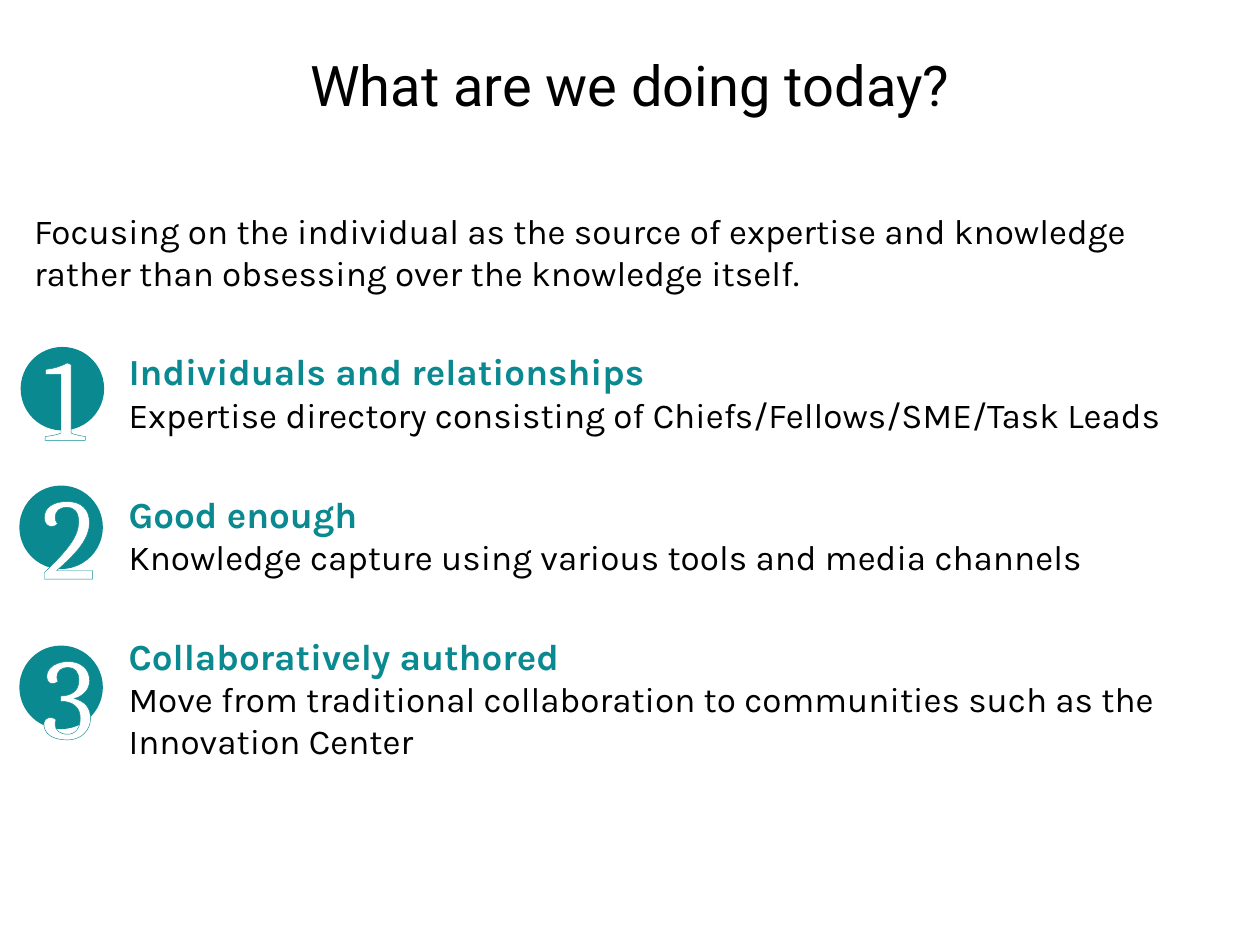
from lxml.etree import SubElement
from pptx import Presentation
from pptx.dml.color import RGBColor
from pptx.enum.shapes import MSO_SHAPE
from pptx.enum.text import MSO_ANCHOR, MSO_AUTO_SIZE, PP_ALIGN
from pptx.oxml import parse_xml
from pptx.oxml.ns import nsdecls, qn
from pptx.util import Inches, Pt

TEAL = RGBColor(0x0A, 0x8A, 0x90)
BLACK = RGBColor(0, 0, 0)
WHITE = RGBColor(255, 255, 255)

INTRO = ("Focusing on the individual as the source of expertise and knowledge "
         "rather than obsessing over the knowledge itself.")
# Heading, description, left and top of the number's circle
POINTS = [
    ("Individuals and relationships",
     "Expertise directory consisting of Chiefs/Fellows/SME/Task Leads", 0.24, 2.83),
    ("Good enough",
     "Knowledge capture using various tools and media channels", 0.23, 3.93),
    ("Collaboratively authored",
     "Move from traditional collaboration to communities such as the Innovation Center",
     0.23, 5.2),
]
CIRCLE = 0.51
NUMBER_RISE, NUMBER_HEIGHT = 0.3, 1.21


def place(sp, left, top, width, height):
    sp.left, sp.top = Inches(left), Inches(top)
    sp.width, sp.height = Inches(width), Inches(height)


def add_text(p, text, size, font="Karla", color=BLACK, bold=False):
    r = p.add_run()
    r.text = text
    r.font.size, r.font.name = Pt(size), font
    r.font.bold, r.font.color.rgb = bold, color
    return r


def format_paragraph(p, level=0, margin=0, before=0):
    p.level = level
    p.space_before = Pt(before)
    pPr = p._p.get_or_add_pPr()
    pPr.set("marL", str(Inches(margin)))
    pPr.set("indent", "0")
    SubElement(pPr, qn("a:buNone"))


def outline_text(r, color):
    r._r.get_or_add_rPr().insert(0, parse_xml(
        f'<a:ln {nsdecls("a")} w="0"><a:solidFill>'
        f'<a:srgbClr val="{color}"/></a:solidFill></a:ln>'))


def add_title(s, text):
    sp = s.shapes.title
    place(sp, 0.5, 0, 9, 1.34)
    tf = sp.text_frame
    tf.auto_size = MSO_AUTO_SIZE.NONE
    tf.vertical_anchor = MSO_ANCHOR.MIDDLE
    p = tf.paragraphs[0]
    p.alignment = PP_ALIGN.CENTER
    add_text(p, text, 32, font="Roboto")


def add_body(s):
    sp = s.placeholders[1]
    place(sp, 0.17, 1.61, 9.33, 5.2)
    tf = sp.text_frame
    tf.auto_size = MSO_AUTO_SIZE.NONE
    p = tf.paragraphs[0]
    format_paragraph(p)
    add_text(p, INTRO, 20)
    for heading, description, *_ in POINTS:
        p = tf.add_paragraph()
        format_paragraph(p, level=3, margin=0.75, before=32)
        add_text(p, heading, 21, color=TEAL, bold=True)
        p.add_line_break()
        add_text(p, description, 20)


def add_number(s, number, left, top):
    group = s.shapes.add_group_shape()
    sp = group.shapes.add_shape(MSO_SHAPE.OVAL, Inches(left), Inches(top),
                                Inches(CIRCLE), Inches(CIRCLE))
    sp.shadow.inherit = False
    sp.fill.solid()
    sp.fill.fore_color.rgb = TEAL
    sp.line.color.rgb = TEAL
    sp.line.width = Pt(11)

    box = group.shapes.add_textbox(Inches(left), Inches(top - NUMBER_RISE),
                                   Inches(CIRCLE), Inches(NUMBER_HEIGHT))
    tf = box.text_frame
    tf.word_wrap = True
    tf.auto_size = MSO_AUTO_SIZE.SHAPE_TO_FIT_TEXT
    p = tf.paragraphs[0]
    p.alignment = PP_ALIGN.CENTER
    outline_text(add_text(p, str(number), 66, font="Cambria", color=WHITE), TEAL)


def main():
    prs = Presentation()
    prs.slide_width, prs.slide_height = Inches(10), Inches(7.5)
    s = prs.slides.add_slide(prs.slide_layouts[1])

    # Title and list
    add_title(s, "What are we doing today?")
    add_body(s)

    # Numbered circles beside the points
    for number, (_, _, left, top) in enumerate(POINTS, 1):
        add_number(s, number, left, top)

    prs.save("out.pptx")


if __name__ == "__main__":
    main()
